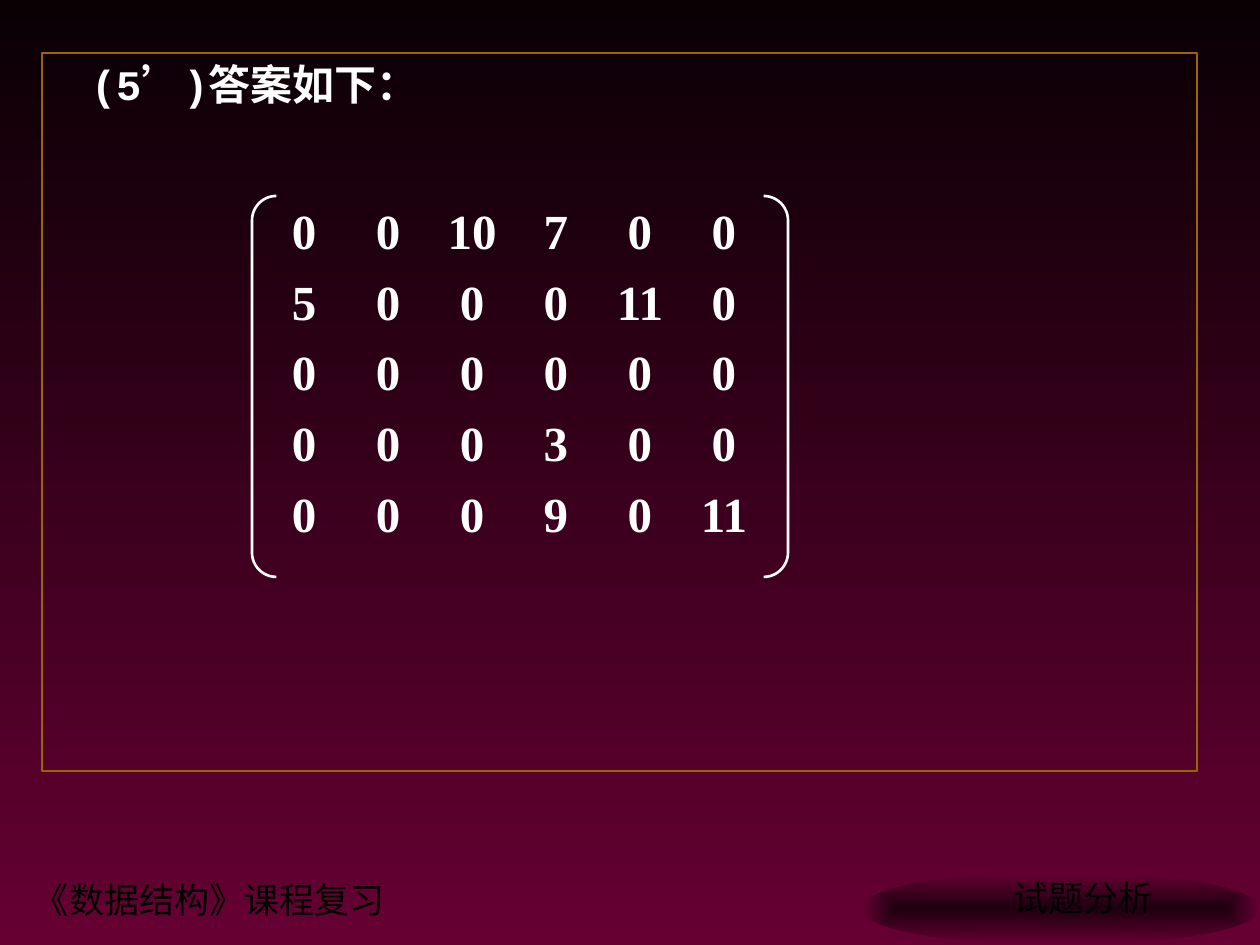
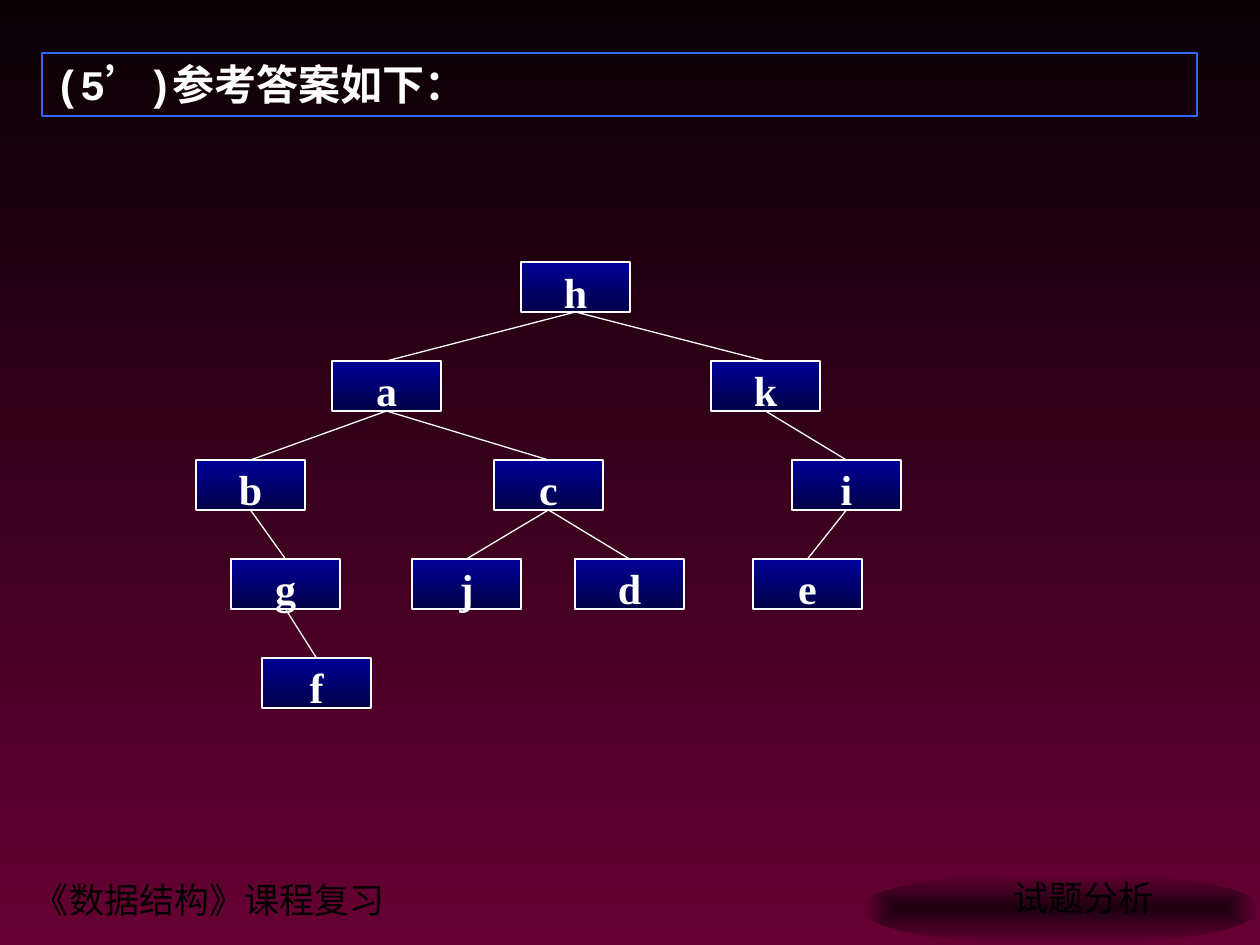
import pptx
import pptx.util
import pptx.dml.color
import pptx.enum.shapes
import pptx.enum.text
import pptx.oxml
import pptx.oxml.ns

# Content
COURSE, TOPIC = "《数据结构》课程复习", "试题分析"
HEADS = ["(5’)答案如下：", "(5’)参考答案如下："]
MATRIX = [
    [0, 0, 10, 7, 0, 0],
    [5, 0, 0, 0, 11, 0],
    [0, 0, 0, 0, 0, 0],
    [0, 0, 0, 3, 0, 0],
    [0, 0, 0, 9, 0, 11],
]
# Tree: name, left edge, level, parent
NODES = [
    ("h", 521, 0, None),
    ("a", 332, 1, "h"), ("k", 711, 1, "h"),
    ("b", 196, 2, "a"), ("c", 494, 2, "a"), ("i", 792, 2, "k"),
    ("g", 231, 3, "b"), ("j", 412, 3, "c"), ("d", 575, 3, "c"), ("e", 753, 3, "i"),
    ("f", 262, 4, "g"),
]

# Shared style
SERIF, MONO, HAN = "Times New Roman", "Courier New", "Noto Sans CJK SC"
WHITE, BLACK, WINE = "FFFFFF", "000000", "660033"
NIGHT, SHADE, GOLD, AZURE = "090004", "1E000F", "996600", "3366FF"
NAVY = ("000099", "000046")
NO_GRID = "{2D5ABB26-0587-4C30-8999-92F81FD0307C}"
SCALE = 914400 / 126
ROOT, STEP, NODE_W, NODE_H = 262, 99, 109, 50
KIND = pptx.enum.shapes.MSO_SHAPE
ALIGN = pptx.enum.text.PP_ALIGN
TOP = pptx.enum.text.MSO_ANCHOR.TOP


def px(n):
    return pptx.util.Emu(round(n * SCALE))


def color(code):
    return pptx.dml.color.RGBColor.from_string(code)


def element(tag):
    space = pptx.oxml.ns.nsdecls("a")
    return pptx.oxml.parse_xml(f"<a:{tag} {space}/>")


def write(frame, text, size=24, font=SERIF, ink=WHITE, bold=True,
          align=ALIGN.CENTER, inset=(13, 6, 13, 6), indent=0):
    frame.word_wrap = True
    frame.auto_size = pptx.enum.text.MSO_AUTO_SIZE.NONE
    frame.vertical_anchor = TOP
    (frame.margin_left, frame.margin_top,
     frame.margin_right, frame.margin_bottom) = map(px, inset)
    para = frame.paragraphs[0]
    para.alignment = align
    if indent:
        para._p.get_or_add_pPr().set("indent", str(px(indent)))
    run = para.add_run()
    run.text = text
    face = run.font
    face.size, face.name, face.bold = pptx.util.Pt(size), font, bold
    face.color.rgb = color(ink)
    asian = element("ea")
    asian.set("typeface", HAN)
    face._element.find(pptx.oxml.ns.qn("a:latin")).addnext(asian)


def blend(fill, first, last):
    fill.gradient()
    fill.gradient_angle = 270
    for stop, code, spot in zip(fill.gradient_stops, (first, last), (0, 1)):
        stop.color.rgb = color(code)
        stop.position = spot


def edge(shape, code, width):
    shape.line.color.rgb = color(code)
    shape.line.width = pptx.util.Pt(width)


def draw(slide, kind, *box):
    shape = slide.shapes.add_shape(kind, *map(px, box))
    shape.shadow.inherit = False
    shape.fill.background()
    return shape


def label(slide, text, *box):
    frame = slide.shapes.add_textbox(*map(px, box)).text_frame
    write(frame, text, size=20, ink=BLACK, bold=False, align=ALIGN.LEFT)


def start(deck, head, line, height, indent=0):
    """Add a slide with its framed heading and footer."""
    slide = deck.slides.add_slide(deck.slide_layouts[5])
    title = slide.shapes.title
    title.left, title.top, title.width, title.height = map(px, (42, 53, 1155, height))
    edge(title, line, 1)
    write(title.text_frame, head, font=MONO, align=ALIGN.JUSTIFY, indent=indent)
    label(slide, COURSE, 21, 872, 914, 55)
    glow = draw(slide, KIND.OVAL, 861, 872, 399, 73)
    glow.line.fill.background()
    blend(glow.fill, SHADE, WINE)
    # Turn the linear blend into one that spreads from the centre
    linear = glow._element.spPr.find(".//" + pptx.oxml.ns.qn("a:lin"))
    spread, focus = element("path"), element("fillToRect")
    spread.set("path", "rect")
    for side in "ltrb":
        focus.set(side, "50000")
    spread.append(focus)
    linear.getparent().replace(linear, spread)
    label(slide, TOPIC, 1000, 870, 220, 55)
    return slide


def matrix(slide):
    rows, cols = len(MATRIX), len(MATRIX[0])
    grid = slide.shapes.add_table(rows, cols, *map(px, (262, 199, 84 * cols, 71 * rows))).table
    grid.first_row = grid.horz_banding = False
    grid._tbl.tblPr.find(pptx.oxml.ns.qn("a:tableStyleId")).text = NO_GRID
    for r, row in enumerate(MATRIX):
        for c, value in enumerate(row):
            cell = grid.cell(r, c)
            cell.fill.background()
            cell.vertical_anchor = TOP
            write(cell.text_frame, str(value), size=28)
    pair = draw(slide, KIND.DOUBLE_BRACKET, 252, 196, 536, 381)
    pair.adjustments[0] = 0.064
    edge(pair, WHITE, 1.5)


def tree(slide):
    spots = {name: (left, ROOT + STEP * level) for name, left, level, _ in NODES}
    for name, left, level, parent in NODES:
        x, y = spots[name]
        box = draw(slide, KIND.RECTANGLE, x, y, NODE_W, NODE_H)
        blend(box.fill, *NAVY)
        edge(box, WHITE, 0.75)
        write(box.text_frame, name, inset=(0, 4, 0, 0))
        if parent:
            px0, py0 = spots[parent]
            half = NODE_W / 2
            ends = (px0 + half, py0 + NODE_H, x + half, y)
            link = slide.shapes.add_connector(
                pptx.enum.shapes.MSO_CONNECTOR.STRAIGHT, *map(px, ends))
            edge(link, WHITE, 0.75)
            link._element.spPr.append(element("effectLst"))


def main():
    deck = pptx.Presentation()
    deck.slide_width, deck.slide_height = px(1260), px(945)
    blend(deck.slide_master.background.fill, NIGHT, WINE)
    matrix(start(deck, HEADS[0], GOLD, 718, indent=36))
    tree(start(deck, HEADS[1], AZURE, 63))
    deck.save("out.pptx")


if __name__ == "__main__":
    main()
